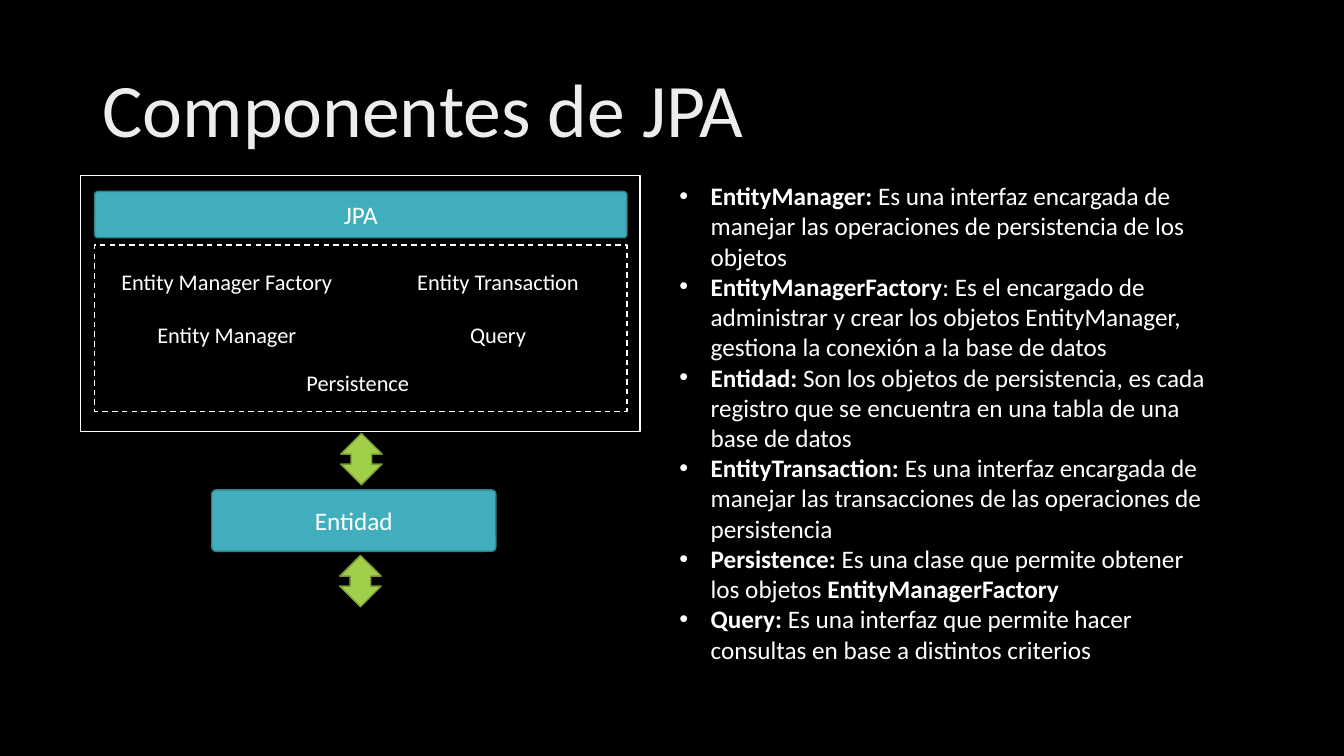
from dataclasses import dataclass

from lxml.etree import SubElement
from pptx import Presentation
from pptx.dml.color import RGBColor as Rgb
from pptx.enum.dml import MSO_LINE as Dash
from pptx.enum.shapes import MSO_SHAPE as Kind
from pptx.enum.text import MSO_ANCHOR as Anchor, MSO_AUTO_SIZE as Fit, PP_ALIGN as Align
from pptx.oxml.ns import qn
from pptx.util import Inches, Pt

WIDE, HIGH = Inches(13.33), Inches(7.5)
FONT = "Calibri"
HUES = {
    "black": "000000", "white": "FFFFFF", "pale": "EDEDED",
    "teal": "41AEBD", "deep": "30818C", "lime": "A2CF49", "moss": "789936",
}


@dataclass(frozen=True)
class Area:
    """Left, top, width and height in percent of the slide."""
    left: float
    top: float
    width: float
    height: float

    def box(self) -> tuple[int, int, int, int]:
        return (int(WIDE * self.left / 100), int(HIGH * self.top / 100),
                int(WIDE * self.width / 100), int(HIGH * self.height / 100))


@dataclass(frozen=True)
class Part:
    kind: Kind
    area: Area
    line: str
    fill: str | None = None
    text: str = ""
    size: int = 18
    round: float | None = None
    dash: Dash | None = None


def hue(name: str) -> Rgb:
    return Rgb.from_string(HUES[name])


def write(frame, text: str, *, size: int, color: str = "white", align=Align.LEFT,
          anchor=Anchor.MIDDLE, space: float = 1.0, bullet: bool = False) -> None:
    """Each line is a paragraph; text between asterisks is bold."""
    frame.word_wrap = True
    frame.vertical_anchor = anchor
    for i, line in enumerate(text.split("\n")):
        para = frame.add_paragraph() if i else frame.paragraphs[0]
        para.alignment, para.line_spacing = align, space
        if bullet:
            props = para._p.get_or_add_pPr()
            step = int(WIDE * 2.33 / 100)
            props.set("marL", str(step))
            props.set("indent", str(-step))
            SubElement(props, qn("a:buFont")).set("typeface", "Arial")
            SubElement(props, qn("a:buChar")).set("char", "•")
        for j, piece in enumerate(line.split("*")):
            if piece:
                run = para.add_run()
                run.text = piece
                font = run.font
                font.name, font.size, font.bold = FONT, Pt(size), j % 2 == 1
                font.color.rgb = hue(color)


def draw(slide, part: Part) -> None:
    shape = slide.shapes.add_shape(part.kind, *part.area.box())
    shape.shadow.inherit = False
    if part.fill:
        shape.fill.solid()
        shape.fill.fore_color.rgb = hue(part.fill)
    else:
        shape.fill.background()
    shape.line.color.rgb = hue(part.line)
    shape.line.width = Pt(1)
    if part.dash is not None:
        shape.line.dash_style = part.dash
    if part.round is not None:
        shape.adjustments[0] = part.round
    if part.text:
        write(shape.text_frame, part.text, size=part.size, align=Align.CENTER)


def label(text: str, left: float, top: float) -> Part:
    return Part(Kind.ROUNDED_RECTANGLE, Area(left, top, 18.15, 4.93), "black", "black",
                text, size=16, round=0.06)


def bar(text: str, area: Area) -> Part:
    return Part(Kind.ROUNDED_RECTANGLE, area, "deep", "teal", text, round=0.07)


def arrow(left: float, top: float) -> Part:
    return Part(Kind.UP_DOWN_ARROW, Area(left, top, 3.08, 6.8), "moss", "lime")


# Grid of the interface names
COLS, ROWS = (7.8, 27.98), (34.8, 41.8)
NAMES = (("Entity Manager Factory", "Entity Transaction"), ("Entity Manager", "Query"))

PARTS = [
    bar("JPA", Area(7.05, 25.33, 39.6, 6.13)),
    *(label(name, left, top)
      for top, row in zip(ROWS, NAMES) for left, name in zip(COLS, row)),
    label("Persistence", 17.55, 48.13),
    Part(Kind.RECTANGLE, Area(6, 23.2, 41.63, 33.87), "white"),
    bar("Entidad", Area(15.75, 64.8, 21.15, 8.13)),
    arrow(25.35, 57.33),
    arrow(25.28, 73.47),
    Part(Kind.RECTANGLE, Area(7.05, 32.4, 39.6, 22), "white", dash=Dash.DASH),
]

TERMS = """\
*EntityManager: *Es una interfaz encargada de manejar las operaciones de persistencia de los objetos
*EntityManagerFactory*: Es el encargado de administrar y crear los objetos EntityManager, gestiona la conexión a la base de datos
*Entidad: *Son los objetos de persistencia, es cada registro que se encuentra en una tabla de una base de datos
*EntityTransaction: *Es una interfaz encargada de manejar las transacciones de las operaciones de persistencia
*Persistence: *Es una clase que permite obtener los objetos *EntityManagerFactory*
*Query: *Es una interfaz que permite hacer consultas en base a distintos criterios"""


def main() -> None:
    deck = Presentation()
    deck.slide_width, deck.slide_height = WIDE, HIGH
    slide = deck.slides.add_slide(deck.slide_layouts[6])
    slide.background.fill.solid()
    slide.background.fill.fore_color.rgb = hue("black")

    # Title
    title = slide.shapes.add_textbox(*Area(6.9, 5.33, 86.27, 19.33).box())
    write(title.text_frame, "Componentes de JPA", size=54, color="pale", space=0.9)

    # Diagram
    for part in PARTS:
        draw(slide, part)

    # Definitions
    terms = slide.shapes.add_textbox(*Area(49.81, 23.2, 40.96, 70).box())
    write(terms.text_frame, TERMS, size=18, anchor=Anchor.TOP, bullet=True)
    terms.text_frame.auto_size = Fit.SHAPE_TO_FIT_TEXT

    deck.save("out.pptx")


if __name__ == "__main__":
    main()
